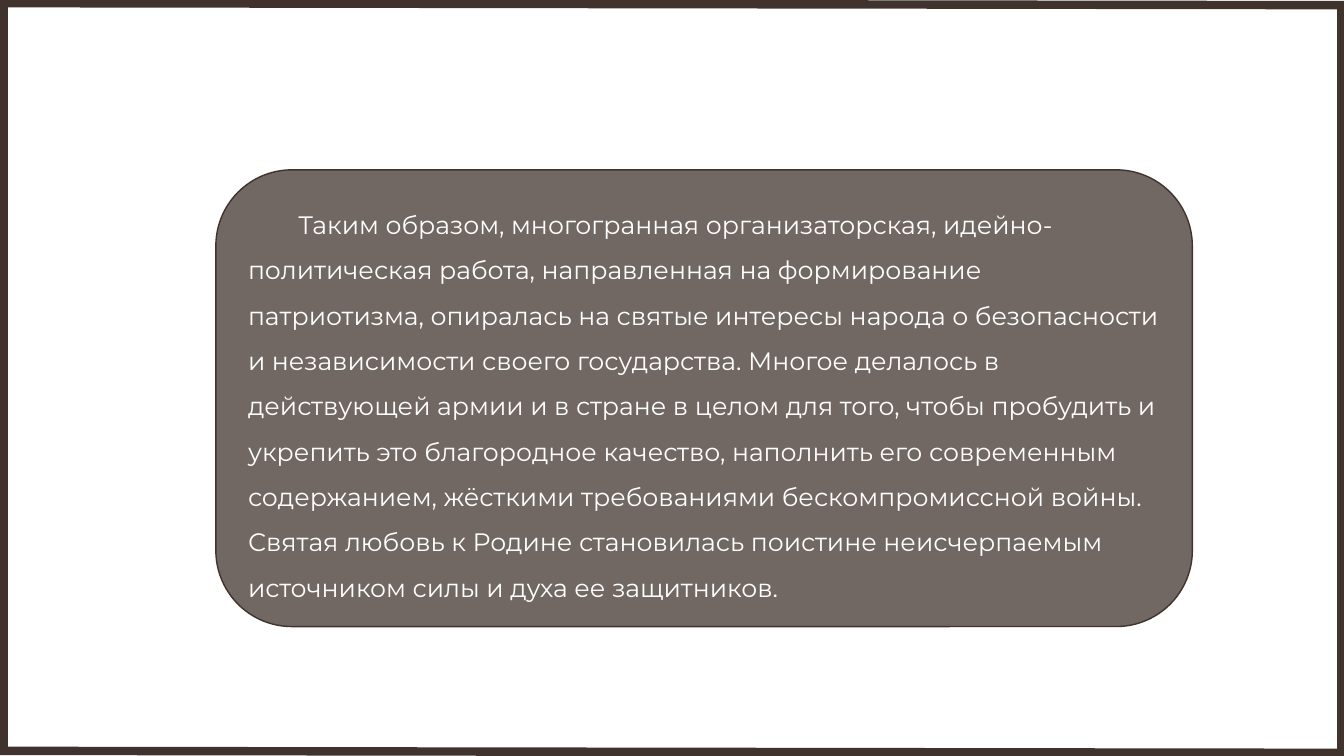
from lxml.etree import SubElement
from pptx import Presentation
from pptx.dml.color import RGBColor
from pptx.enum.shapes import MSO_CONNECTOR, MSO_SHAPE
from pptx.enum.text import MSO_ANCHOR, PP_ALIGN
from pptx.oxml.ns import qn
from pptx.util import Cm, Pt

COLORS = {"brown": "40332D", "white": "FFFFFF"}
FONT = "Montserrat"
WIDTH, HEIGHT = 33.87, 19.05

CONCLUSION = (
    "Таким образом, многогранная организаторская, идейно-политическая работа, "
    "направленная на формирование патриотизма, опиралась на святые интересы народа "
    "о безопасности и независимости своего государства. Многое делалось в "
    "действующей армии и в стране в целом для того, чтобы пробудить и укрепить это "
    "благородное качество, наполнить его современным содержанием, жёсткими "
    "требованиями бескомпромиссной войны. Святая любовь к Родине становилась "
    "поистине неисчерпаемым источником силы и духа ее защитников."
)

FRAME_LINES = [
    (0, 18.92, WIDTH, 18.97),
    (0, 0.08, WIDTH, 0.13),
    (0.1, 0, 0.1, 18.97),
    (33.81, 0.08, 33.81, HEIGHT),
]


def color(name):
    return RGBColor.from_string(COLORS[name])


def set_opacity(shape, percent):
    fill_color = shape.fill._xPr.find(qn("a:solidFill"))[0]
    SubElement(fill_color, qn("a:alpha")).set("val", str(percent * 1000))


def add_panel(slide, left, top, width, height, text):
    shape = slide.shapes.add_shape(
        MSO_SHAPE.ROUNDED_RECTANGLE, Cm(left), Cm(top), Cm(width), Cm(height)
    )
    shape.shadow.inherit = False
    shape.fill.solid()
    shape.fill.fore_color.rgb = color("brown")
    set_opacity(shape, 74)
    shape.line.color.rgb = color("brown")
    shape.line.width = Pt(1)

    text_frame = shape.text_frame
    text_frame.word_wrap = True
    text_frame.vertical_anchor = MSO_ANCHOR.MIDDLE
    text_frame.text = text
    paragraph = text_frame.paragraphs[0]
    paragraph.alignment = PP_ALIGN.LEFT
    paragraph.line_spacing = 1.5
    properties = paragraph._p.get_or_add_pPr()
    properties.set("marL", "0")
    properties.set("indent", str(Cm(1.27)))
    for run in paragraph.runs:
        run.font.name = FONT
        run.font.size = Pt(18)
        run.font.color.rgb = color("white")


def add_frame_line(slide, *ends):
    connector = slide.shapes.add_connector(
        MSO_CONNECTOR.STRAIGHT, *(Cm(end) for end in ends)
    )
    connector.line.color.rgb = color("brown")
    connector.line.width = Pt(6)
    SubElement(connector._element.spPr, qn("a:effectLst"))


def main():
    presentation = Presentation()
    presentation.slide_width = Cm(WIDTH)
    presentation.slide_height = Cm(HEIGHT)
    slide = presentation.slides.add_slide(presentation.slide_layouts[6])
    slide.background.fill.solid()
    slide.background.fill.fore_color.rgb = color("white")

    add_panel(slide, 5.44, 4.28, 24.61, 11.51, CONCLUSION)
    for ends in FRAME_LINES:
        add_frame_line(slide, *ends)

    presentation.save("out.pptx")


if __name__ == "__main__":
    main()
